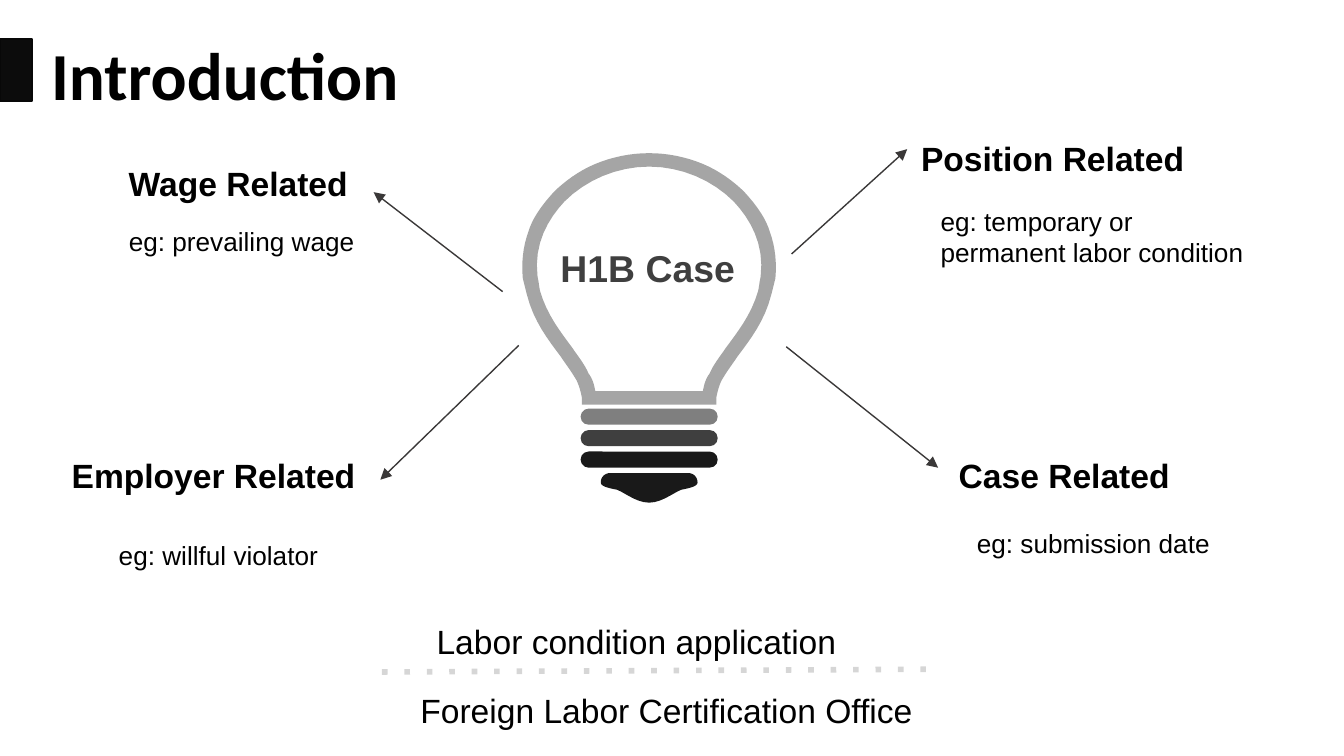
"""Build the introduction slide: a light bulb with four groups of case features."""
import pptx
import pptx.dml.color
import pptx.enum.shapes
import pptx.enum.text
import pptx.oxml
import pptx.oxml.ns
import pptx.util

RGBColor = pptx.dml.color.RGBColor
Shapes = pptx.enum.shapes.MSO_SHAPE
Align = pptx.enum.text.PP_ALIGN

CELL = pptx.util.Inches(0.1)
COLUMNS, ROWS = 100, 56.25
AXIS = 48.3
CURVE_STEPS = 8

BLACK = RGBColor(0x00, 0x00, 0x00)
INK = RGBColor(0x0C, 0x0C, 0x0C)
EDGE = RGBColor(0x08, 0x08, 0x08)
COAL = RGBColor(0x19, 0x19, 0x19)
ARROW = RGBColor(0x3A, 0x38, 0x38)
DARK = RGBColor(0x3F, 0x3F, 0x3F)
MIDDLE = RGBColor(0x7F, 0x7F, 0x7F)
LIGHT = RGBColor(0xA5, 0xA5, 0xA5)

GLASS_OUTER = [
    [(0, 11.4)],
    [(1.4, 11.4), (2.8, 11.7), (4, 12.2)],
    [(5.2, 12.7), (6.3, 13.5), (7.1, 14.3)],
    [(8.1, 15.4), (8.7, 16.3), (9, 17.3)],
    [(9.4, 18.4), (9.5, 19.6), (9.4, 20.7)],
    [(9.3, 21.1), (9.2, 21.5), (9.1, 21.9)],
    [(8.6, 23.9), (7.5, 25.3), (6.6, 26.5)],
    [(6.2, 27.1), (5.8, 27.6), (5.4, 28.3)],
    [(5.2, 28.7), (5.1, 29.1), (5, 29.6)],
    [(5, 30.1)],
]
GLASS_INNER = [
    [(0, 12.4)],
    [(2.4, 12.4), (4.7, 13.4), (6.3, 15)],
    [(7.5, 16.3), (8.6, 18.1), (8.3, 20.6)],
    [(8.2, 21), (8.2, 21.3), (8.1, 21.7)],
    [(7.6, 23.4), (6.6, 24.7), (5.7, 25.9)],
    [(5.3, 26.5), (4.8, 27.1), (4.5, 27.8)],
    [(4.2, 28.2), (4.1, 28.6), (4, 29.1)],
]
TIP = [
    [(0, 35.2)],
    [(2.9, 35.2)],
    [(3.3, 35.2), (3.6, 35.5), (3.6, 35.9)],
    [(3.6, 36.2), (3, 36.3), (2.6, 36.4)],
    [(2.1, 36.4), (1.1, 37.4), (0, 37.4)],
]
BANDS = [MIDDLE, DARK, COAL]

HEADINGS = [
    ("Wage Related", (8.6, 11.1, 22, 6.7), 1),
    ("Employer Related", (4.35, 32.85, 24, 5.8), 1),
    ("Position Related", (67.55, 8.8, 24, 4.6), 1.15),
    ("Case Related", (70.35, 32.85, 18.4, 4.6), 1),
]
EXAMPLES = [
    ("eg: prevailing wage", (8.6, 15.75, 20.5, 4.3)),
    ("eg: willful violator", (7.85, 39.15, 25.8, 4.6)),
    ("eg: temporary or permanent labor condition", (69, 14.25, 25.1, 5.8)),
    ("eg: submission date", (71.7, 38.25, 23.1, 4.3)),
]
ARROWS = [
    ((58.9, 18.9), (67.5, 11.1)),
    ((58.5, 25.8), (69.8, 34.8)),
    ((37.4, 21.7), (27.8, 14.3)),
    ((38.6, 25.7), (28.3, 35.7)),
]


def grid(*cells):
    """Turn counts of grid cells into lengths."""
    return [pptx.util.Emu(round(count * CELL)) for count in cells]


def add_text(page, text, place, size, font="Arial", color=BLACK, bold=False,
             margins=(1, 1), align=None, spacing=1):
    """Add a one-paragraph text box."""
    frame = page.shapes.add_textbox(*grid(*place)).text_frame
    frame.word_wrap = True
    frame.margin_left = frame.margin_right = grid(margins[0])[0]
    frame.margin_top = frame.margin_bottom = grid(margins[1])[0]
    para = frame.paragraphs[0]
    para.alignment = align
    para.line_spacing = spacing
    span = para.add_run()
    span.text = text
    span.font.name = font
    span.font.size = pptx.util.Pt(size)
    span.font.bold = bold
    span.font.color.rgb = color


def paint(shape, color):
    """Give a shape a plain fill without line or shadow."""
    shape.shadow.inherit = False
    shape.fill.solid()
    shape.fill.fore_color.rgb = color
    shape.line.fill.background()


def add_block(page, kind, place, color):
    """Add a plain filled preset shape."""
    block = page.shapes.add_shape(kind, *grid(*place))
    paint(block, color)
    return block


def trace(half):
    """Return the closed, mirrored outline of a half made of lines and curves."""
    points = [half[0][0]]
    for segment in half[1:]:
        if len(segment) == 1:
            points += segment
            continue
        knots = [points[-1], *segment]
        for step in range(1, CURVE_STEPS + 1):
            t = step / CURVE_STEPS
            weights = ((1 - t) ** 3, 3 * t * (1 - t) ** 2, 3 * t * t * (1 - t), t ** 3)
            points.append(tuple(sum(w * knot[i] for w, knot in zip(weights, knots))
                                for i in (0, 1)))
    mirrored = [(-x, y) for x, y in reversed(points)]
    return [grid(AXIS + x, y) for x, y in points + mirrored]


def add_outline(page, contours, color):
    """Add a filled freeform made of closed contours."""
    first, *others = contours
    builder = page.shapes.build_freeform(*first[0], scale=1.0)
    builder.add_line_segments(first[1:], close=True)
    for contour in others:
        builder.move_to(*contour[0])
        builder.add_line_segments(contour[1:], close=True)
    paint(builder.convert_to_shape(), color)


def add_child(parent, tag, **attributes):
    """Append a drawing element to its parent."""
    child = parent.makeelement(pptx.oxml.ns.qn(tag), attributes)
    parent.append(child)


def add_line(page, start, end, color, width):
    """Add a straight connector without shadow."""
    line = page.shapes.add_connector(
        pptx.enum.shapes.MSO_CONNECTOR.STRAIGHT, *grid(*start, *end))
    line.line.color.rgb = color
    line.line.width = pptx.util.Pt(width)
    add_child(line._element.spPr, "a:effectLst")
    return line.line._get_or_add_ln()


def add_arrow(page, start, end):
    """Add a thin arrow pointing at its end."""
    stroke = add_line(page, start, end, ARROW, 0.75)
    add_child(stroke, "a:tailEnd", type="triangle")


def add_dotted_line(page, start, end):
    """Add a faint dotted rule."""
    stroke = add_line(page, start, end, INK, 3)
    add_child(stroke.find(".//" + pptx.oxml.ns.qn("a:srgbClr")), "a:alpha", val="17000")
    add_child(stroke, "a:prstDash", val="dot")


def add_bulb(page):
    """Draw the bulb from its glass, screw bands and tip."""
    add_outline(page, [trace(GLASS_OUTER), trace(GLASS_INNER)[::-1]], LIGHT)
    for index, color in enumerate(BANDS):
        place = (AXIS - 5.1, 30.4 + 1.6 * index, 10.2, 1.2)
        band = add_block(page, Shapes.ROUNDED_RECTANGLE, place, color)
        band.adjustments[0] = 0.5
    add_outline(page, [trace(TIP)], COAL)


def main():
    """Build and save the deck."""
    deck = pptx.Presentation()
    deck.slide_width, deck.slide_height = grid(COLUMNS, ROWS)
    page = deck.slides.add_slide(deck.slide_layouts[6])
    marker = add_block(page, Shapes.RECTANGLE, (0, 2.9, 2.4, 4.6), INK)
    marker.line.color.rgb = EDGE
    marker.line.width = pptx.util.Pt(1)
    tight = (0.7, 0.4)
    add_text(page, "Introduction", (3.1, 2.1, 33, 4.3), 36, "Calibri",
             bold=True, margins=tight)
    add_bulb(page)
    add_text(page, "H1B Case", (41, 17.85, 23, 7.4), 20, color=DARK,
             bold=True, margins=tight)
    add_text(page, "Foreign Labor Certification Office", (15.75, 50, 67.7, 5.8), 18,
             margins=tight, align=Align.CENTER, spacing=1.3)
    for text, place, spacing in HEADINGS:
        add_text(page, text, place, 18, bold=True, spacing=spacing)
    for start, end in ARROWS:
        add_arrow(page, start, end)
    for text, place in EXAMPLES:
        add_text(page, text, place, 14)
    add_dotted_line(page, (68.9, 49.8), (28.3, 50))
    add_text(page, "Labor condition application", (31.5, 45.2, 35.6, 3.4), 18)
    deck.save("out.pptx")


if __name__ == "__main__":
    main()
